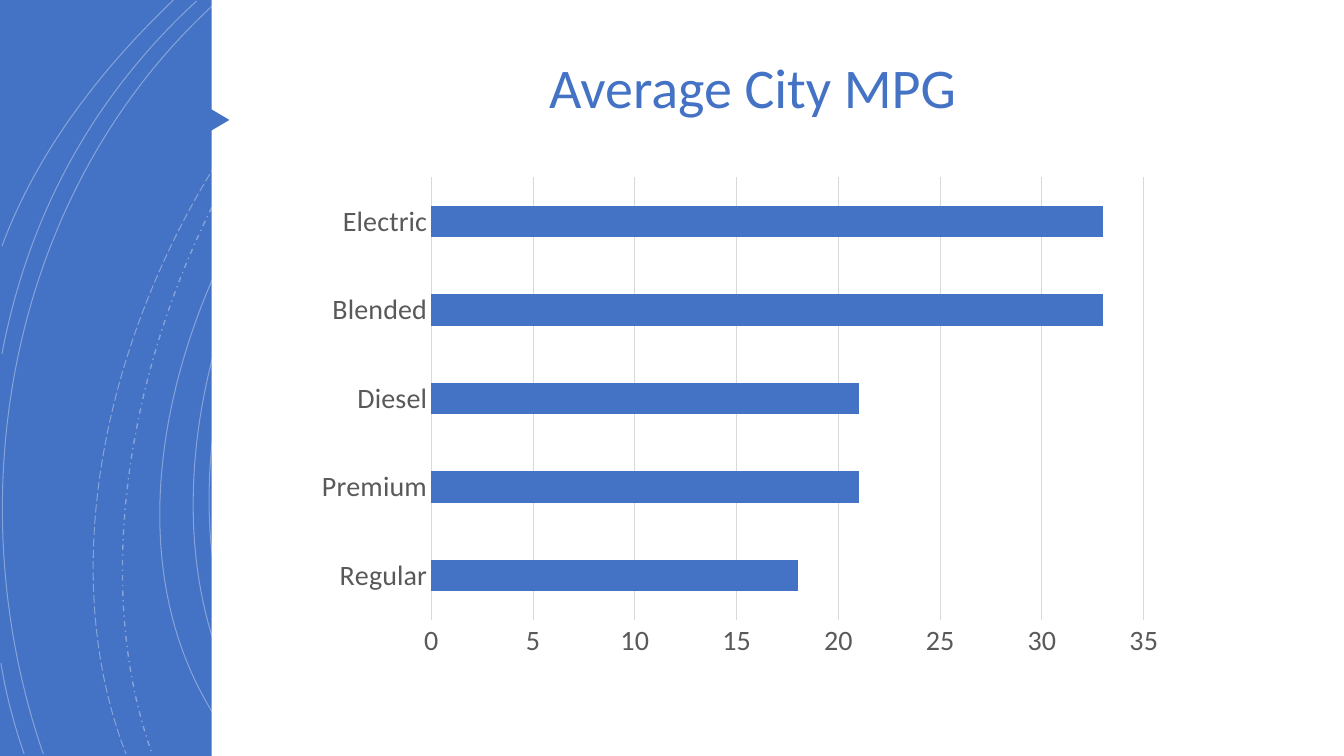
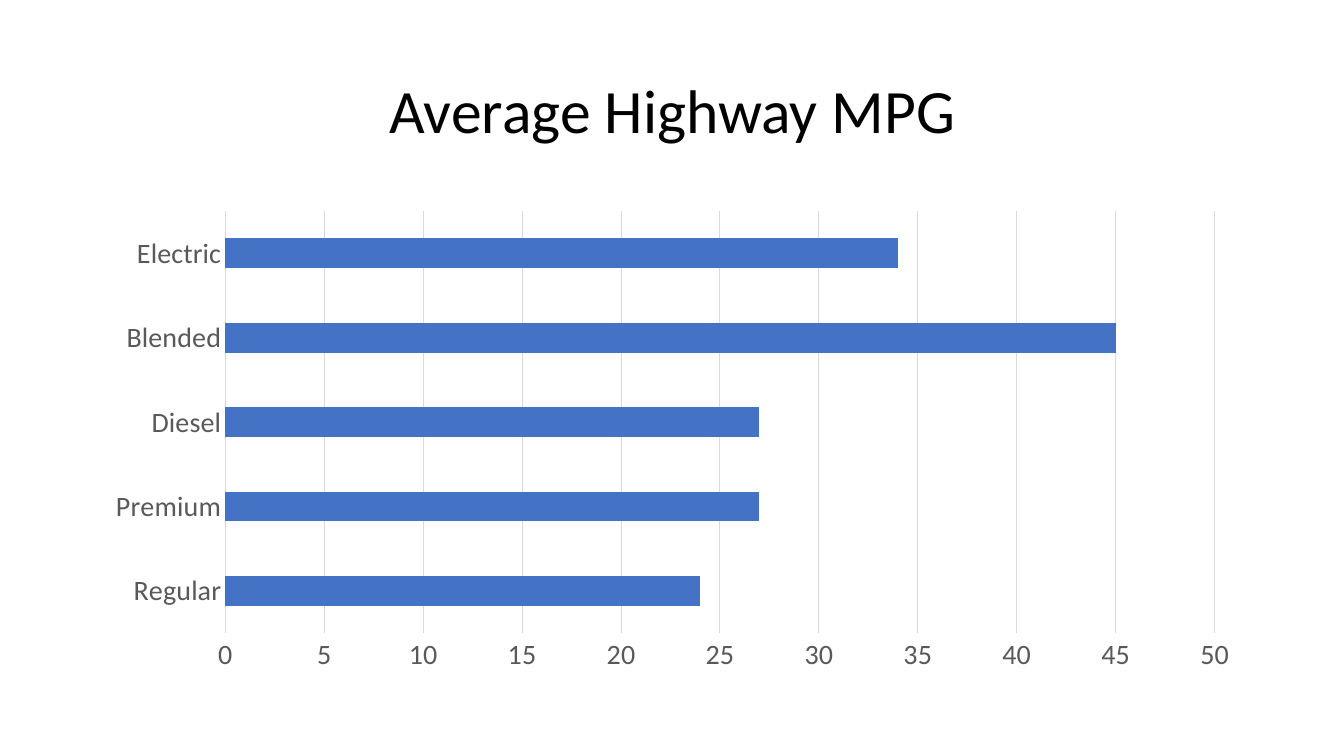
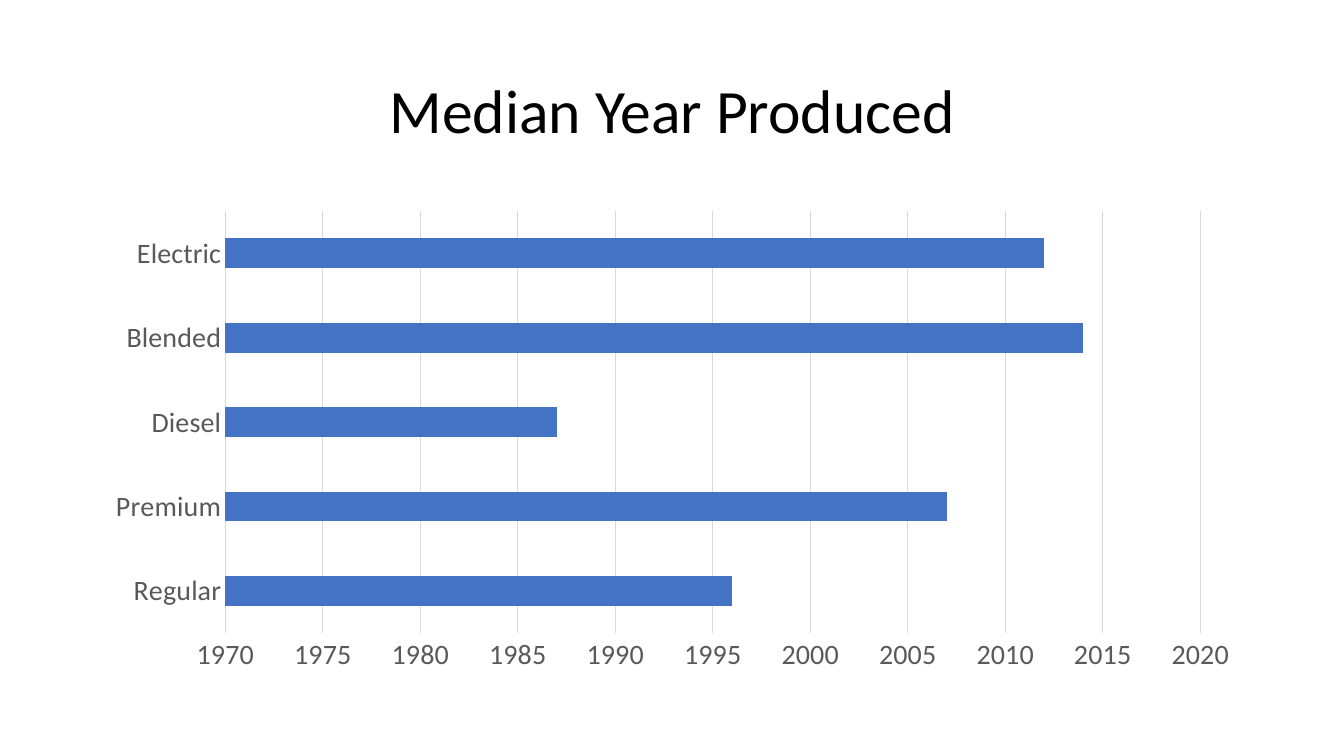
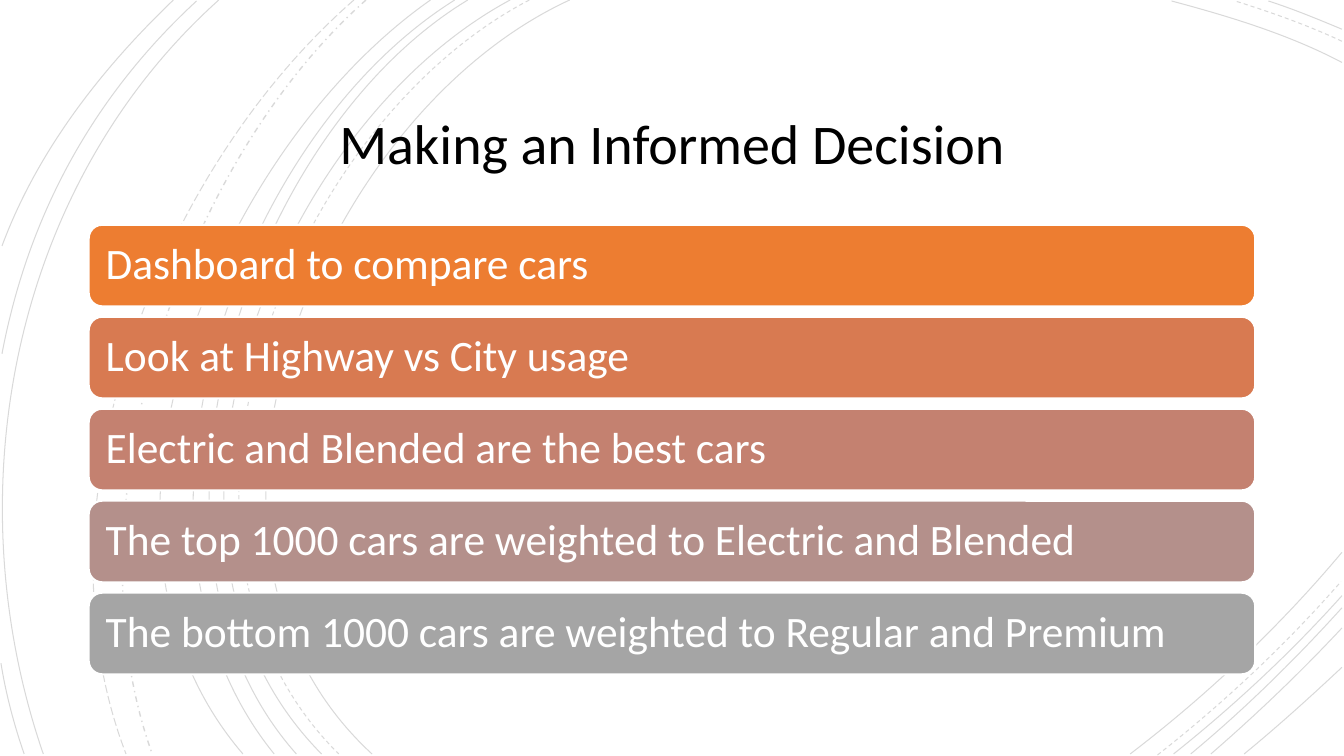
from lxml.etree import SubElement
from pptx import Presentation
from pptx.chart.data import CategoryChartData
from pptx.dml.color import RGBColor
from pptx.enum.chart import XL_CHART_TYPE, XL_TICK_MARK
from pptx.enum.dml import MSO_LINE
from pptx.enum.shapes import MSO_SHAPE
from pptx.enum.text import MSO_ANCHOR, MSO_AUTO_SIZE, PP_ALIGN
from pptx.oxml.ns import qn
from pptx.util import Inches, Pt

FONT = "Calibri"
BLUE, BLACK, WHITE = "4472C4", "000000", "FFFFFF"
TEXT_GRAY, GRID_GRAY = "595959", "D9D9D9"
SOLID, DASH = MSO_LINE.SOLID, MSO_LINE.DASH


def color(hex_value):
    return RGBColor.from_string(hex_value)


def add_block(page, kind, box, fill):
    block = page.shapes.add_shape(kind, *map(Inches, box))
    block.shadow.inherit = False
    block.fill.solid()
    block.fill.fore_color.rgb = color(fill)
    block.line.fill.background()
    return block


deck = Presentation()
deck.slide_width = Inches(13.33)
deck.slide_height = Inches(7.5)
pages = [deck.slides.add_slide(deck.slide_layouts[5]) for _ in range(4)]
city_page, highway_page, year_page, decision_page = pages

outer_curves = [
    ((5.65, 0), (3.15, 1.15), (1.43, 5.4), (3.69, 7.48), SOLID, 0.75),
    ((5.25, 0), (2.85, 1.25), (1.23, 5.37), (3.36, 7.48), DASH, 0.75),
    ((5.06, 0), (2.7, 1.27), (1.1, 5.37), (3.19, 7.48), SOLID, 0.75),
    ((13.31, 0.62), (12.78, 0.34), (12.18, 0.16), (11.62, 0.01), SOLID, 0.75),
    ((13.31, 0.41), (12.97, 0.25), (12.6, 0.12), (12.25, 0.01), DASH, 0.75),
    ((13.31, 0.29), (13.07, 0.19), (12.83, 0.09), (12.58, 0.01), SOLID, 0.75),
    ((11.21, 7.48), (11.97, 6.9), (12.69, 6.22), (13.31, 5.48), SOLID, 0.75),
    ((11.48, 7.49), (12.13, 6.98), (12.75, 6.4), (13.3, 5.77), DASH, 0.75),
    ((11.64, 7.48), (12.23, 7.01), (12.8, 6.48), (13.31, 5.91), SOLID, 0.75),
    ((11.81, 7.48), (12.34, 7.04), (12.84, 6.55), (13.31, 6.03), SOLID, 0.75),
    ((12.01, 7.48), (12.46, 7.09), (12.9, 6.67), (13.31, 6.23), SOLID, 0.75),
    ((12.34, 7.48), (12.67, 7.21), (12.99, 6.92), (13.31, 6.62), SOLID, 0.75),
]
left_curves = [
    ((4.64, 0), (2.44, 1.33), (1.1, 5.41), (2.94, 7.48), SOLID, 0.75),
    ((4.51, 0), (2.31, 1.38), (0.97, 5.33), (2.72, 7.48), SOLID, 0.75),
    ((4.27, 0), (2.17, 1.47), (0.53, 5.29), (2.41, 7.48), SOLID, 0.75),
    ((3.63, 0), (1.76, 1.66), (0.65, 5.09), (1.51, 7.48), MSO_LINE.DASH_DOT, 1),
    ((3.51, 0), (1.57, 1.69), (0.29, 4.99), (1.25, 7.48), MSO_LINE.LONG_DASH, 0.75),
    ((2.17, 0), (0.11, 1.85), (-0.46, 4.9), (0.43, 7.48), SOLID, 0.75),
    ((1.95, 0.01), (0.92, 0.96), (0.28, 2.14), (0.02, 3.51), SOLID, 0.75),
    ((0.01, 6.58), (0.06, 6.89), (0.14, 7.19), (0.24, 7.48), SOLID, 0.75),
    ((1.72, 0), (1, 0.69), (0.37, 1.5), (0.02, 2.44), SOLID, 0.75),
]

add_block(city_page, MSO_SHAPE.RECTANGLE, (0, 0, 13.33, 7.5), BLUE)

for page, curves, line_color, opacity in (
    (city_page, left_curves, WHITE, 35),
    (decision_page, outer_curves + left_curves, BLACK, 15),
):
    for *points, dash, width in curves:
        start, *others = [(Inches(x), Inches(y)) for x, y in points]
        builder = page.shapes.build_freeform(*start)
        builder.add_line_segments(others, close=False)
        arc = builder.convert_to_shape()
        outline = next(arc.element.iter(qn("a:path")))
        segments = outline.findall(qn("a:lnTo"))
        bezier = SubElement(outline, qn("a:cubicBezTo"))
        for segment in segments:
            bezier.append(segment[0])
            outline.remove(segment)
        arc.shadow.inherit = False
        arc.fill.background()
        arc.line.color.rgb = color(line_color)
        arc.line.width = Pt(width)
        arc.line.dash_style = dash
        tint = next(arc.element.spPr.iter(qn("a:srgbClr")))
        SubElement(tint, qn("a:alpha")).set("val", str(opacity * 1000))

add_block(city_page, MSO_SHAPE.RECTANGLE, (2.1, 0, 11.23, 7.5), WHITE)
pointer = add_block(city_page, MSO_SHAPE.ISOSCELES_TRIANGLE, (1.97, 1.05, 0.33, 0.28), BLUE)
pointer.rotation = 90

wide_title = (0.92, 0.4, 11.5, 1.45)
for page, text, box, size, title_color, anchor in (
    (city_page, "Average City MPG", (4.06, 0.55, 6.81, 1.35), 40, BLUE, MSO_ANCHOR.TOP),
    (highway_page, "Average Highway MPG", wide_title, 44, BLACK, MSO_ANCHOR.MIDDLE),
    (year_page, "Median Year Produced", wide_title, 44, BLACK, MSO_ANCHOR.MIDDLE),
    (decision_page, "Making an Informed Decision", (1.92, 0.88, 9.49, 1.15), 40, BLACK, MSO_ANCHOR.MIDDLE),
):
    title = page.shapes.title
    title.left, title.top, title.width, title.height = map(Inches, box)
    frame = title.text_frame
    frame.text = text
    frame.auto_size = MSO_AUTO_SIZE.NONE
    frame.vertical_anchor = anchor
    para = frame.paragraphs[0]
    para.alignment = PP_ALIGN.CENTER
    para.line_spacing = 0.9
    span = para.runs[0]
    span.font.name = FONT
    span.font.size = Pt(size)
    span.font.color.rgb = color(title_color)
    title.element.getparent().append(title.element)

wide_chart = (0.92, 2, 11.5, 4.76)
for page, box, values, minimum, maximum in (
    (city_page, (3.02, 1.66, 8.64, 4.97), (18, 21, 21, 33, 33), 0, 35),
    (highway_page, wide_chart, (24, 27, 27, 45, 34), 0, 50),
    (year_page, wide_chart, (1996, 2007, 1987, 2014, 2012), 1970, 2020),
):
    data = CategoryChartData()
    data.categories = ["Regular", "Premium", "Diesel", "Blended", "Electric"]
    data.add_series("Series 1", values)
    chart = page.shapes.add_chart(XL_CHART_TYPE.BAR_CLUSTERED, *map(Inches, box), data).chart
    chart.has_legend = False
    chart.has_title = False
    chart.font.name = FONT
    chart.font.size = Pt(20)
    chart.font.color.rgb = color(TEXT_GRAY)

    plot = chart.plots[0]
    plot.gap_width = 182
    plot.vary_by_categories = False
    bars = plot.series[0].format.fill
    bars.solid()
    bars.fore_color.rgb = color(BLUE)

    for axis in (chart.category_axis, chart.value_axis):
        axis.major_tick_mark = XL_TICK_MARK.NONE
        axis.minor_tick_mark = XL_TICK_MARK.NONE
    chart.value_axis.minimum_scale = minimum
    chart.value_axis.maximum_scale = maximum
    chart.value_axis.major_unit = 5
    chart.value_axis.has_major_gridlines = True
    chart.value_axis.format.line.fill.background()
    for line in (chart.category_axis.format.line, chart.value_axis.major_gridlines.format.line):
        line.color.rgb = color(GRID_GRAY)
        line.width = Pt(0.75)

first_top, last_top = 2.23, 5.88
messages = (
    ("Dashboard to compare cars", "ED7D31"),
    ("Look at Highway vs City usage", "D87A51"),
    ("Electric and Blended are the best cars", "C48170"),
    ("The top 1000 cars are weighted to Electric and Blended", "B4908B"),
    ("The bottom 1000 cars are weighted to Regular and Premium", "A5A5A5"),
)
pitch = (last_top - first_top) / (len(messages) - 1)
for index, (text, fill) in enumerate(messages):
    bar = add_block(decision_page, MSO_SHAPE.ROUNDED_RECTANGLE, (0.88, first_top + index * pitch, 11.57, 0.81), fill)
    bar.line.color.rgb = color(WHITE)
    bar.line.width = Pt(1.5)
    frame = bar.text_frame
    frame.text = text
    frame.word_wrap = True
    frame.vertical_anchor = MSO_ANCHOR.MIDDLE
    frame.margin_left = frame.margin_right = Inches(0.13)
    para = frame.paragraphs[0]
    para.alignment = PP_ALIGN.LEFT
    para.line_spacing = 0.9
    span = para.runs[0]
    span.font.name = FONT
    span.font.size = Pt(31)
    span.font.color.rgb = color(WHITE)

deck.save("out.pptx")
